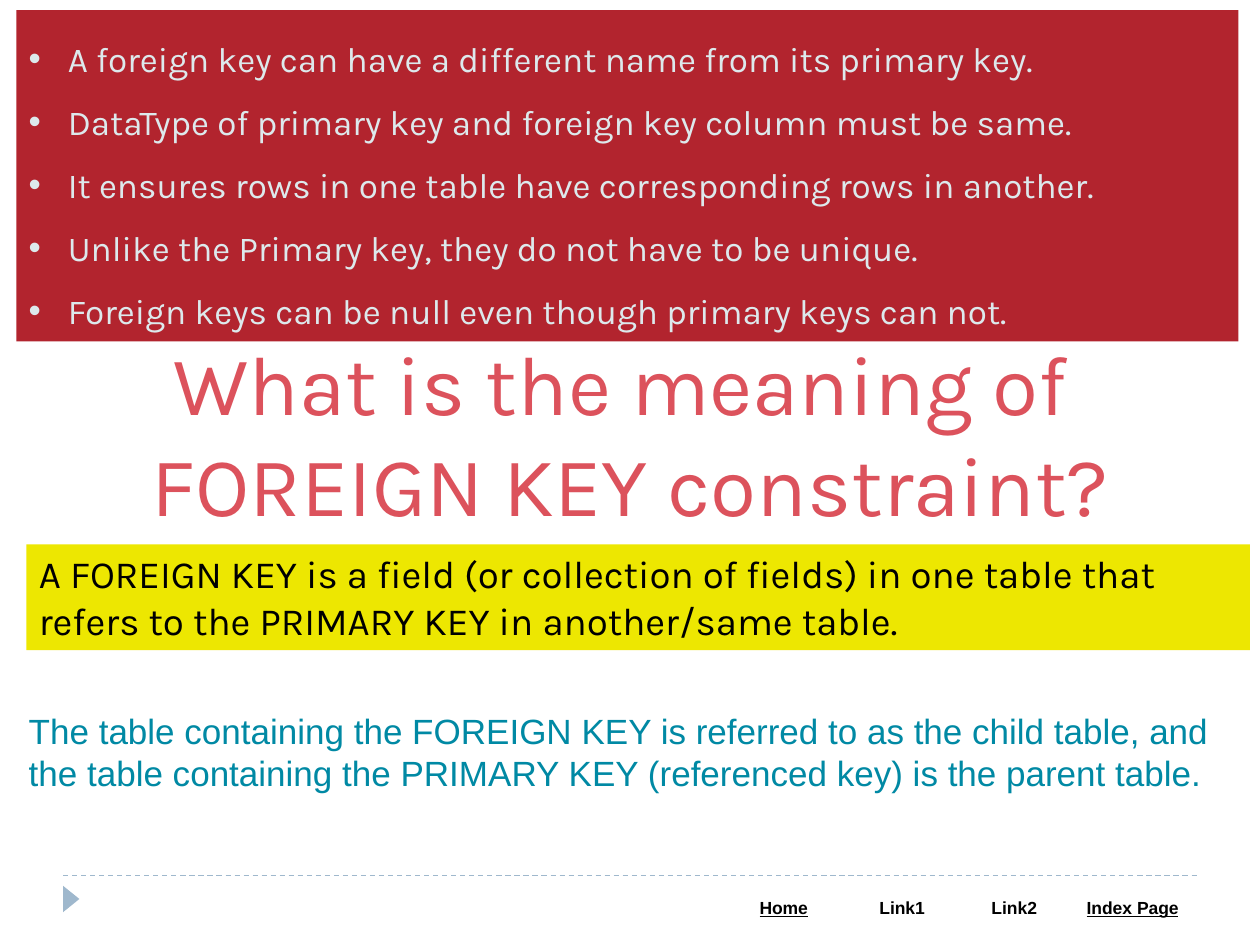
import pptx
import pptx.dml.color
import pptx.enum.dml
import pptx.enum.shapes
import pptx.enum.text
import pptx.oxml
import pptx.oxml.ns
import pptx.util
from pptx.util import Inches

COLORS = {
    "heading": "DC525C", "rules_fill": "B2242E", "rules_text": "DDE9EC",
    "definition_fill": "EDE701", "parent_text": "0089A4",
    "footer": "9FB8CD", "white": "FFFFFF", "black": "000000",
}
ALIGN = pptx.enum.text.PP_ALIGN
SHAPES = pptx.enum.shapes.MSO_SHAPE


def rgb(name):
    return pptx.dml.color.RGBColor.from_string(COLORS[name])


def add_xml(parent, xml):
    declaration = pptx.oxml.ns.nsdecls("a")
    parent.append(pptx.oxml.parse_xml(xml.replace("/>", f" {declaration}/>")))


class SlideBuilder:
    def __init__(self, slide):
        self.slide = slide

    def style(self, paragraph, color, align=ALIGN.LEFT, spacing=1.0, **font):
        for name, value in {"alignment": align, "line_spacing": spacing}.items():
            setattr(paragraph, name, value)
        for name, value in font.items():
            setattr(paragraph.font, name, value)
        paragraph.font.color.rgb = rgb(color)

    def fill_text(self, frame, lines, bullet=False, **style):
        frame.word_wrap = True
        frame.vertical_anchor = pptx.enum.text.MSO_ANCHOR.TOP
        frame.text = "\n".join(lines)
        for paragraph in frame.paragraphs:
            if bullet:
                properties = paragraph._p.get_or_add_pPr()
                properties.set("marL", str(Inches(0.31)))
                properties.set("indent", str(-Inches(0.31)))
                add_xml(properties, '<a:buFont typeface="Arial"/>')
                add_xml(properties, '<a:buChar char="•"/>')
            self.style(paragraph, **style)

    def title(self, box, lines, **style):
        heading = self.slide.shapes.title
        for name, value in zip(("left", "top", "width", "height"), box):
            setattr(heading, name, Inches(value))
        heading.text_frame.auto_size = pptx.enum.text.MSO_AUTO_SIZE.NONE
        self.fill_text(heading.text_frame, lines, align=ALIGN.CENTER, **style)

    def shape(self, kind, box, fill):
        shape = self.slide.shapes.add_shape(kind, *map(Inches, box))
        shape.shadow.inherit = False
        shape.fill.solid()
        shape.fill.fore_color.rgb = rgb(fill)
        shape.line.fill.background()
        return shape

    def panel(self, box, fill, lines, **style):
        frame = self.shape(SHAPES.RECTANGLE, box, fill).text_frame
        frame.auto_size = pptx.enum.text.MSO_AUTO_SIZE.SHAPE_TO_FIT_TEXT
        self.fill_text(frame, lines, **style)

    def dashed_line(self, left, right, y, color):
        line = self.slide.shapes.add_connector(
            pptx.enum.shapes.MSO_CONNECTOR.STRAIGHT,
            Inches(left), Inches(y), Inches(right), Inches(y))
        line.line.color.rgb = rgb(color)
        line.line.width = pptx.util.Pt(0.75)
        line.line.dash_style = pptx.enum.dml.MSO_LINE.DASH
        add_xml(line._element.spPr, "<a:effectLst/>")

    def link_row(self, box, links):
        table = self.slide.shapes.add_table(1, len(links), *map(Inches, box)).table
        for column, (label, width, underline) in enumerate(links):
            table.columns[column].width = Inches(width)
            cell = table.cell(0, column)
            cell.fill.solid()
            cell.fill.fore_color.rgb = rgb("white")
            cell.text = label
            self.style(cell.text_frame.paragraphs[0], "black", ALIGN.CENTER,
                       name="Arial", size=pptx.util.Pt(10), bold=True,
                       underline=underline)


def main():
    deck = pptx.Presentation()
    deck.slide_width, deck.slide_height = Inches(10), Inches(7.5)
    builder = SlideBuilder(deck.slides.add_slide(deck.slide_layouts[5]))

    # Footer
    marker = builder.shape(SHAPES.ISOSCELES_TRIANGLE, (0.46, 7.07, 0.21, 0.13), "footer")
    marker.rotation = 90
    builder.dashed_line(0.5, 9.5, 6.95, "footer")
    builder.link_row((5.75, 7.08, 3.76, 0.27), [
        ("Home", 0.94, True), ("Link1", 0.94, False),
        ("Link2", 0.84, False), ("Index Page", 1.04, True)])

    # Question
    builder.title((0.17, 2.58, 9.67, 1.58),
                  ["What is the meaning of ", "FOREIGN KEY constraint?"],
                  color="heading", name="Karla", size=pptx.util.Pt(48))

    # Foreign key rules
    builder.panel((0.13, 0.08, 9.7, 2.63), "rules_fill", [
        "A foreign key can have a different name from its primary key.",
        "DataType of primary key and foreign key column must be same.",
        "It ensures rows in one table have corresponding rows in another.",
        "Unlike the Primary key, they do not have to be unique.",
        "Foreign keys can be null even though primary keys can not.",
    ], bullet=True, spacing=1.5, color="rules_text", name="Karla",
        size=pptx.util.Pt(20))

    # Parent and child tables
    builder.panel((0.13, 5.58, 9.7, 0.77), "white", [
        "The table containing the FOREIGN KEY is referred to as the child table, "
        "and the table containing the PRIMARY KEY (referenced key) is the parent table.",
    ], color="parent_text", name="Arial", size=pptx.util.Pt(20))

    # Definition
    builder.panel((0.21, 4.32, 9.71, 0.84), "definition_fill", [
        "A FOREIGN KEY is a field (or collection of fields) in one table that "
        "refers to the PRIMARY KEY in another/same table.",
    ], color="black", name="Karla", size=pptx.util.Pt(22))

    deck.save("out.pptx")


if __name__ == "__main__":
    main()
